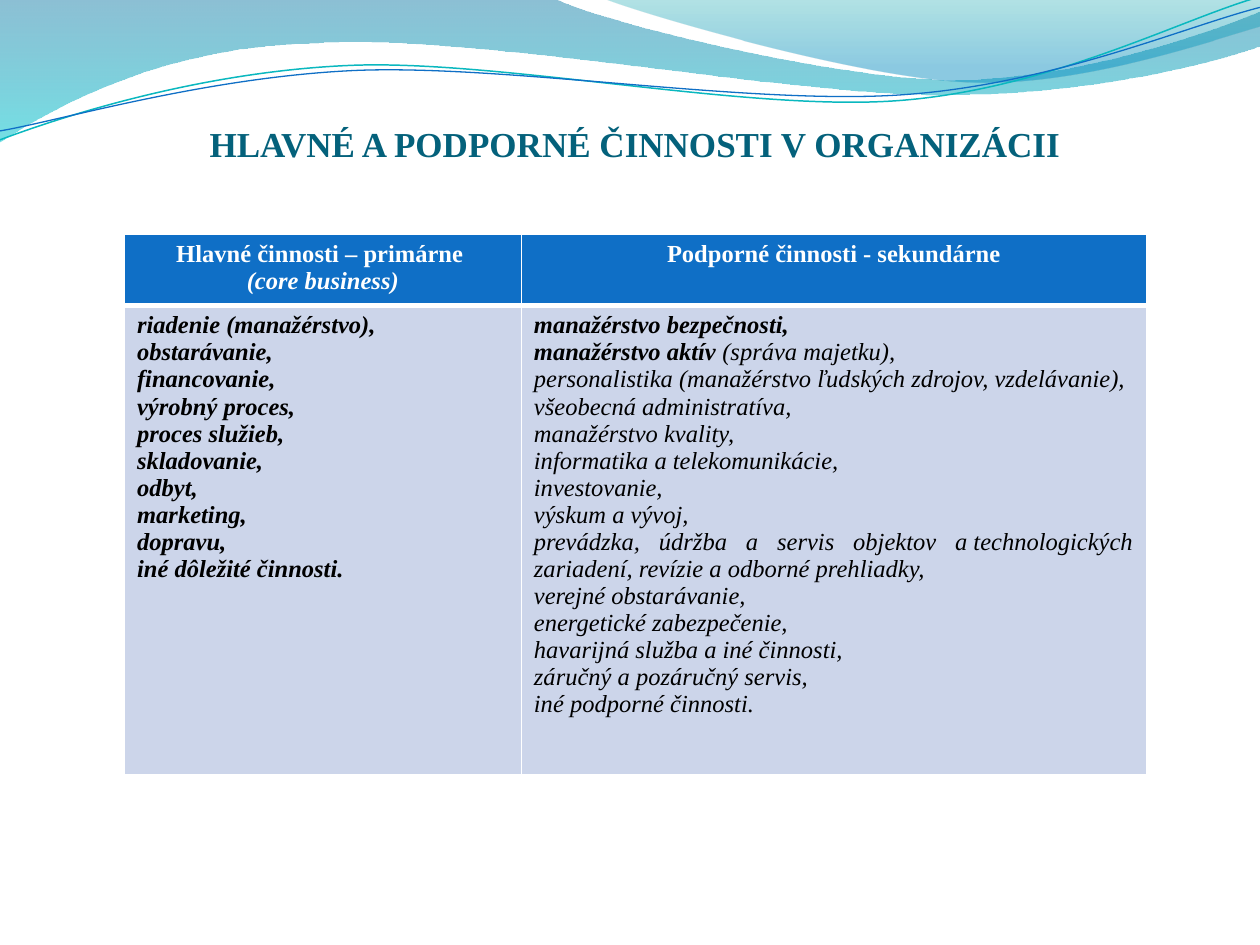
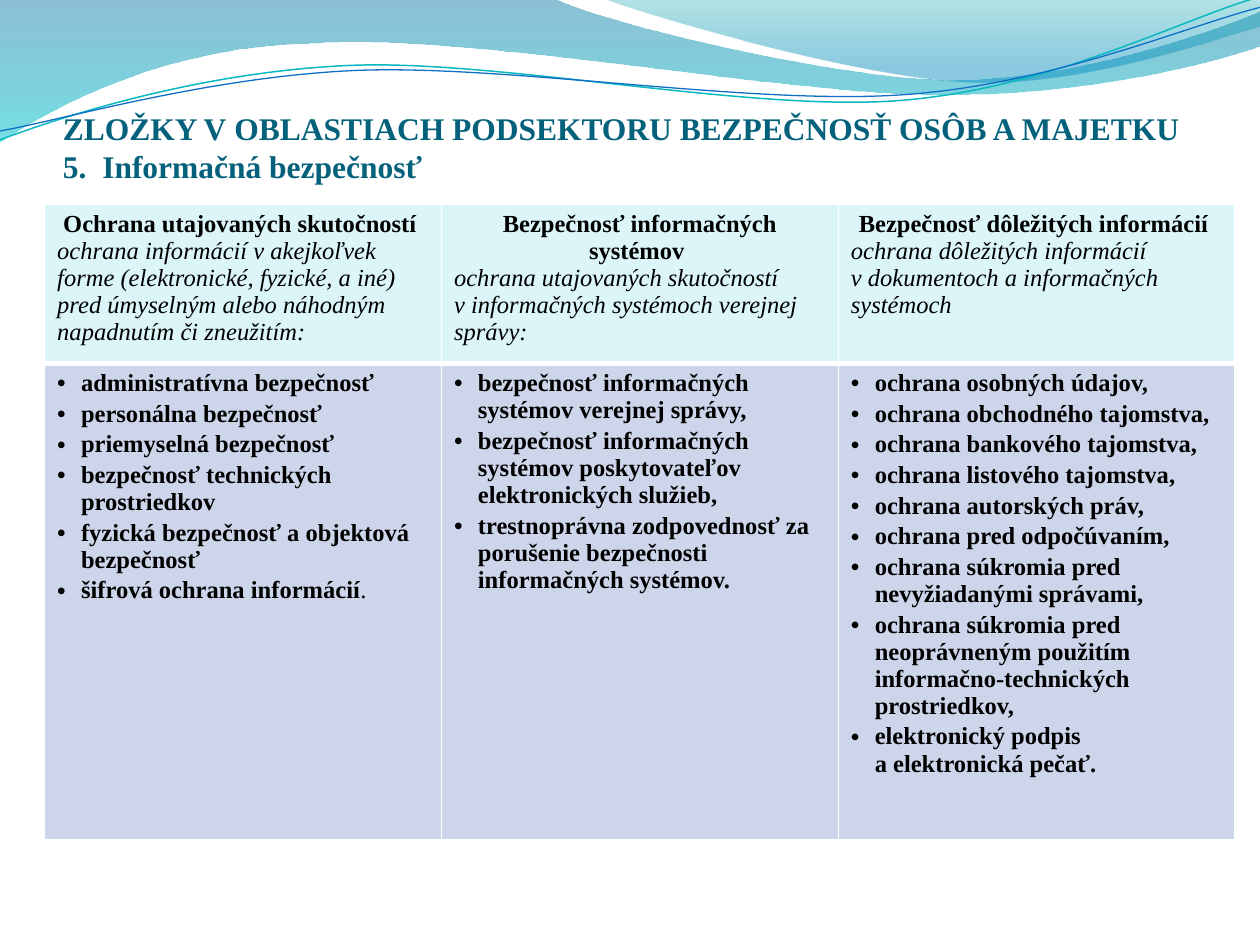
from dataclasses import dataclass
from typing import Optional

import lxml.etree
import pptx
import pptx.dml.color
import pptx.enum.text
import pptx.oxml.ns
import pptx.util

Cm = pptx.util.Cm
Pt = pptx.util.Pt
RGBColor = pptx.dml.color.RGBColor
Align = pptx.enum.text.PP_ALIGN
Anchor = pptx.enum.text.MSO_ANCHOR
qn = pptx.oxml.ns.qn

FONT = "Times New Roman"
WHITE = RGBColor(0xFF, 0xFF, 0xFF)
BLACK = RGBColor(0, 0, 0)
TITLE_TEAL = RGBColor(0x04, 0x61, 0x7B)
BLUE = RGBColor(0x0F, 0x6F, 0xC6)
TEAL = RGBColor(0x0A, 0xB8, 0xBF)
PALE_CYAN = RGBColor(0xDB, 0xF5, 0xF9)
PALE_BLUE = RGBColor(0xCC, 0xD5, 0xEA)
WAVE_BLUE = RGBColor(0x00, 0x74, 0xA1)
WAVE_CYAN = RGBColor(0x00, 0xC6, 0xCF)
CREST_GREEN = RGBColor(0x00, 0xA1, 0xA9)
CREST_BLUE = RGBColor(0x00, 0x8B, 0xBF)

THIN, THICK = Pt(1), Pt(3)
NBSP = chr(160)  # keeps a one-letter word with the next one


@dataclass(frozen=True)
class Stop:
    position: float
    color: RGBColor
    opacity: int


@dataclass(frozen=True)
class Wave:
    """Outline in cm: a pair is a straight step, six numbers a Bezier curve."""
    start: tuple[float, float]
    steps: tuple[tuple[float, ...], ...]
    stops: tuple[Stop, ...] = ()
    color: Optional[RGBColor] = None
    width: float = 0


@dataclass(frozen=True)
class Run:
    text: str
    bold: bool = True
    italic: bool = False


@dataclass(frozen=True)
class Para:
    runs: tuple[Run, ...]
    align: Align = Align.LEFT
    bullet: bool = False


@dataclass(frozen=True)
class Grid:
    """Table with one header row and one body row; lengths in cm."""
    left: float
    top: float
    widths: tuple[float, ...]
    heights: tuple[float, float]
    headers: list[list[Para]]
    bodies: list[list[Para]]
    header_fill: RGBColor
    header_color: RGBColor


WAVES = (
    Wave((0, 0), (
        (11.18, -0.03),
        (12.09, 0.43, 16.87, 1.6, 19.25, 1.6),
        (21.67, 1.6, 24.33, 0.66, 25.4, 0.23),
        (25.43, 0.91),
        (24.97, 1.12, 22.1, 1.93, 18.95, 1.91),
        (15.8, 1.91, 9.7, 0.71, 6.53, 0.86),
        (3.28, 0.91, 1.17, 2.11, -0.03, 2.87),
    ), stops=(Stop(0, WAVE_BLUE, 45), Stop(1, WAVE_CYAN, 55))),
    Wave((12.17, -0.03), (
        (12.93, 0.28, 17.32, 1.57, 19.53, 1.65),
        (21.74, 1.75, 24.41, 0.81, 25.4, 0.53),
        (25.4, 0),
    ), stops=(Stop(0, CREST_GREEN, 30), Stop(0.8, CREST_BLUE, 45))),
    Wave((0, 2.82), (
        (1.22, 2.36, 4.01, 1.45, 7.04, 1.32),
        (10.03, 1.19, 15.06, 2.26, 18.11, 2.03),
        (21.16, 1.8, 23.83, 0.38, 25.35, -0.05),
    ), color=TEAL, width=0.85),
    Wave((0, 2.64), (
        (1.19, 2.44, 4.17, 1.55, 7.19, 1.42),
        (10.24, 1.3, 15.16, 2.13, 18.21, 1.91),
        (21.23, 1.7, 23.9, 0.53, 25.4, 0.15),
    ), color=BLUE, width=0.75),
)


def bend_segments(outline, wave: Wave) -> None:
    """Turn the straight segments of curved steps into Bezier curves."""
    segments = list(outline._element.spPr.iter(qn("a:lnTo")))
    for segment, step in zip(segments, wave.steps):
        if len(step) == 2:
            continue
        curve = lxml.etree.Element(qn("a:cubicBezTo"))
        for x, y in zip(step[::2], step[1::2]):
            lxml.etree.SubElement(curve, qn("a:pt"), x=str(Cm(x) - outline.left),
                                  y=str(Cm(y) - outline.top))
        segment.getparent().replace(segment, curve)


def draw_wave(slide, wave: Wave) -> None:
    builder = slide.shapes.build_freeform(*map(Cm, wave.start))
    builder.add_line_segments([(Cm(step[-2]), Cm(step[-1])) for step in wave.steps],
                              close=bool(wave.stops))
    outline = builder.convert_to_shape()
    bend_segments(outline, wave)
    outline.shadow.inherit = False
    if not wave.stops:
        outline.fill.background()
        outline.line.color.rgb = wave.color
        outline.line.width = Pt(wave.width)
        return
    outline.fill.gradient()
    outline.fill.gradient_angle = 270
    for target, stop in zip(outline.fill.gradient_stops, wave.stops):
        target.position = stop.position
        target.color.rgb = stop.color
    for color, stop in zip(outline._element.spPr.iter(qn("a:srgbClr")), wave.stops):
        lxml.etree.SubElement(color, qn("a:alpha"), val=str(stop.opacity * 1000))
    outline.line.fill.background()


def write_text(frame, paras: list[Para], *, size: float, color: RGBColor) -> None:
    frame.word_wrap = True
    for i, para in enumerate(paras):
        line = frame.add_paragraph() if i else frame.paragraphs[0]
        line.alignment = para.align
        if para.bullet:
            if i:
                line.space_before = Pt(2)
            properties = line._p.get_or_add_pPr()
            properties.set("marL", str(Cm(0.48)))
            properties.set("indent", str(-Cm(0.48)))
            lxml.etree.SubElement(properties, qn("a:buFont"), typeface="Arial")
            lxml.etree.SubElement(properties, qn("a:buChar"), char="•")
        for part in para.runs:
            for n, piece in enumerate(part.text.split("\n")):
                if n:
                    line.add_line_break()
                run = line.add_run()
                run.text = piece
                run.font.name = FONT
                run.font.size = Pt(size)
                run.font.bold = part.bold
                run.font.italic = part.italic
                run.font.color.rgb = color


def add_title(slide, box: tuple[float, ...], title: str, *,
              size: float, align: Align) -> None:
    frame = slide.shapes.add_textbox(*map(Cm, box)).text_frame
    frame.margin_left = frame.margin_right = frame.margin_bottom = 0
    frame.margin_top = Cm(0.13)
    frame.vertical_anchor = Anchor.BOTTOM
    write_text(frame, [Para((Run(title),), align)], size=size, color=TITLE_TEAL)


def set_borders(cell, *, top: int, bottom: int) -> None:
    properties = cell._tc.get_or_add_tcPr()
    sides = {"L": THIN, "R": THIN, "T": top, "B": bottom}
    for i, (side, width) in enumerate(sides.items()):
        border = lxml.etree.Element(qn(f"a:ln{side}"), w=str(width))
        fill = lxml.etree.SubElement(border, qn("a:solidFill"))
        lxml.etree.SubElement(fill, qn("a:srgbClr"), val=str(WHITE))
        properties.insert(i, border)


def add_grid(slide, grid: Grid) -> None:
    table = slide.shapes.add_table(
        2, len(grid.widths), Cm(grid.left), Cm(grid.top),
        Cm(sum(grid.widths)), Cm(sum(grid.heights))).table
    table.horz_banding = False
    for column, width in zip(table.columns, grid.widths):
        column.width = Cm(width)
    bands = (
        (grid.headers, grid.header_fill, grid.header_color, THIN, THICK),
        (grid.bodies, PALE_BLUE, BLACK, THICK, THIN),
    )
    for r, (texts, fill, color, top, bottom) in enumerate(bands):
        table.rows[r].height = Cm(grid.heights[r])
        for c, paras in enumerate(texts):
            cell = table.cell(r, c)
            cell.fill.solid()
            cell.fill.fore_color.rgb = fill
            set_borders(cell, top=top, bottom=bottom)
            write_text(cell.text_frame, paras, size=14, color=color)


def bullets(*items: str) -> list[Para]:
    return [Para((Run(item),), bullet=True) for item in items]


def area_header(name: str, scope: str) -> list[Para]:
    return [Para((Run(name),), Align.CENTER),
            Para((Run(scope, bold=False, italic=True),))]


MAIN_ACTIVITIES = [
    "riadenie (manažérstvo),", "obstarávanie,", "financovanie,", "výrobný proces,",
    "proces služieb,", "skladovanie,", "odbyt,", "marketing,", "dopravu,",
    "iné dôležité činnosti.",
]
# Bold opening and regular remainder of each line
SUPPORT_ACTIVITIES = [
    ("manažérstvo bezpečnosti,", ""),
    ("manažérstvo aktív ", "(správa majetku),"),
    ("", "personalistika (manažérstvo ľudských zdrojov, vzdelávanie),"),
    ("", "všeobecná administratíva,"),
    ("", "manažérstvo kvality,"),
    ("", f"informatika a{NBSP}telekomunikácie,"),
    ("", "investovanie,"),
    ("", f"výskum a{NBSP}vývoj,"),
    ("", f"prevádzka, údržba a servis objektov a{NBSP}technologických zariadení, "
         "revízie a odborné prehliadky,"),
    ("", "verejné obstarávanie,"),
    ("", "energetické zabezpečenie,"),
    ("", f"havarijná služba a{NBSP}iné činnosti,"),
    ("", "záručný a pozáručný servis,"),
    ("", "iné podporné činnosti."),
]
ACTIVITIES = Grid(
    2.51, 4.72, (8, 12.6), (1.27, 9.45),
    headers=[
        [Para((Run("Hlavné činnosti – primárne "),), Align.CENTER),
         Para((Run("(core business)", italic=True),), Align.CENTER)],
        [Para((Run("Podporné činnosti - sekundárne"),), Align.CENTER)],
    ],
    bodies=[
        [Para((Run(item, italic=True),)) for item in MAIN_ACTIVITIES],
        [Para(tuple(Run(text, bold, True)
                    for text, bold in ((strong, True), (plain, False)) if text),
              Align.JUSTIFY) for strong, plain in SUPPORT_ACTIVITIES],
    ],
    header_fill=BLUE, header_color=WHITE)

INFORMATION_SECURITY = Grid(
    0.9, 4.11, (8, 8, 8), (2.75, 9.6),
    headers=[
        area_header("Ochrana utajovaných skutočností ",
                    f"ochrana informácií v{NBSP}akejkoľvek forme (elektronické, fyzické, "
                    "a iné) pred úmyselným alebo náhodným napadnutím či zneužitím:"),
        area_header("Bezpečnosť informačných systémov ",
                    f"ochrana utajovaných skutočností v{NBSP}informačných systémoch "
                    "verejnej správy:"),
        area_header("Bezpečnosť dôležitých informácií ",
                    f"ochrana dôležitých informácií v{NBSP}dokumentoch a informačných "
                    "systémoch"),
    ],
    bodies=[
        bullets("administratívna bezpečnosť", "personálna bezpečnosť",
                "priemyselná bezpečnosť", "bezpečnosť technických prostriedkov",
                f"fyzická bezpečnosť a{NBSP}objektová bezpečnosť")
        + [Para((Run("šifrová ochrana informácií"), Run(".", bold=False)), bullet=True)],
        bullets("bezpečnosť informačných systémov verejnej správy,",
                "bezpečnosť informačných systémov poskytovateľov elektronických služieb,",
                "trestnoprávna zodpovednosť za porušenie bezpečnosti informačných systémov."),
        bullets("ochrana osobných údajov,", "ochrana obchodného tajomstva,",
                "ochrana bankového tajomstva,", "ochrana listového tajomstva,",
                "ochrana autorských práv,", "ochrana pred odpočúvaním,",
                "ochrana súkromia pred nevyžiadanými správami,",
                "ochrana súkromia pred neoprávneným použitím "
                "informačno-technických prostriedkov,",
                f"elektronický podpis a{NBSP}elektronická pečať."),
    ],
    header_fill=PALE_CYAN, header_color=BLACK)


def main() -> None:
    deck = pptx.Presentation()
    deck.slide_width, deck.slide_height = Cm(25.4), Cm(19.05)
    pages = (
        ((1.27, 1.94, 23.06, 1.37), "HLAVNÉ A PODPORNÉ ČINNOSTI V ORGANIZÁCII",
         20, Align.CENTER, ACTIVITIES),
        ((1.27, 0.76, 22.86, 2.97),
         f"ZLOŽKY V{NBSP}OBLASTIACH PODSEKTORU BEZPEČNOSŤ OSÔB A MAJETKU\n"
         "5.  Informačná bezpečnosť", 18, Align.LEFT, INFORMATION_SECURITY),
    )
    for box, title, size, align, grid in pages:
        slide = deck.slides.add_slide(deck.slide_layouts[6])
        for wave in WAVES:
            draw_wave(slide, wave)
        add_title(slide, box, title, size=size, align=align)
        add_grid(slide, grid)
    deck.save("out.pptx")


if __name__ == "__main__":
    main()
